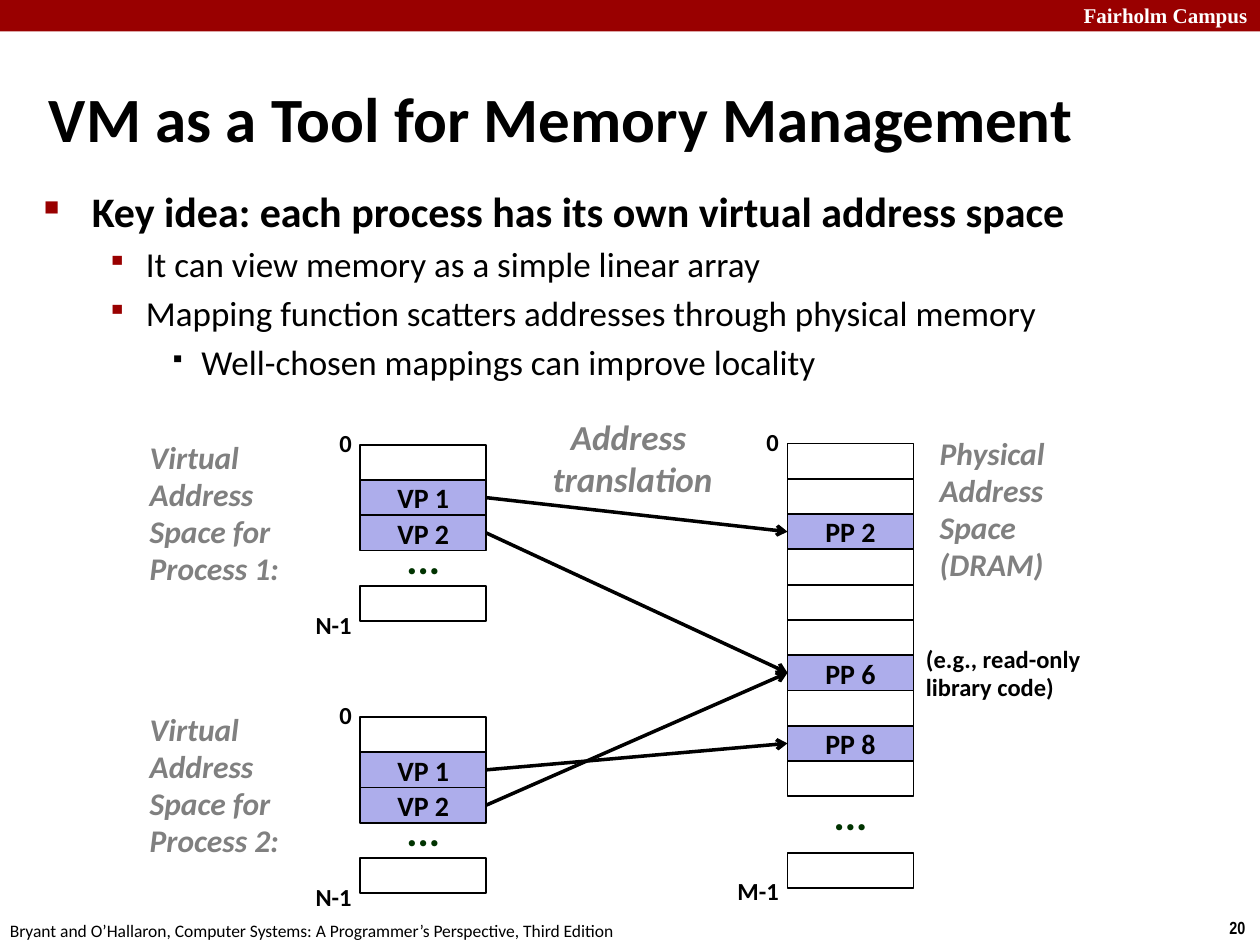
from lxml.etree import SubElement
from pptx import Presentation
from pptx.dml.color import RGBColor
from pptx.enum.shapes import MSO_CONNECTOR, MSO_SHAPE
from pptx.enum.text import MSO_ANCHOR, PP_ALIGN
from pptx.oxml.ns import qn
from pptx.util import Inches, Pt

BLACK, WHITE, GRAY = "000000", "FFFFFF", "808080"
RED, LILAC, GREEN = "990000", "ADADEB", "003300"
ROW, COLUMN = 0.28, 1.0  # height and width of one page


def color(hex_code):
    return RGBColor.from_string(hex_code)


def add_run(paragraph, text, size, ink=BLACK, bold=True, italic=False, font="Calibri"):
    run = paragraph.add_run()
    run.text = text
    run.font.size, run.font.name = Pt(size), font
    run.font.bold, run.font.italic = bold, italic
    run.font.color.rgb = color(ink)


def add_text(slide, box, lines, size, align=PP_ALIGN.LEFT, spacing=None,
             before=0, wrap=True, anchor=MSO_ANCHOR.TOP, **style):
    frame = slide.shapes.add_textbox(*map(Inches, box)).text_frame
    frame.word_wrap = wrap
    frame.vertical_anchor = anchor
    for i, line in enumerate(lines):
        paragraph = frame.paragraphs[0] if i == 0 else frame.add_paragraph()
        paragraph.alignment = align
        paragraph.line_spacing = spacing
        paragraph.space_before = Pt(before)
        add_run(paragraph, line, size, **style)
    return frame


def add_rect(slide, box, fill=None, line=None):
    rect = slide.shapes.add_shape(MSO_SHAPE.RECTANGLE, *map(Inches, box))
    rect.shadow.inherit = False
    if fill:
        rect.fill.solid()
        rect.fill.fore_color.rgb = color(fill)
    else:
        rect.fill.background()
    if line:
        rect.line.color.rgb = color(line)
        rect.line.width = Pt(1)
    else:
        rect.line.fill.background()
    return rect


def add_bullet(paragraph, mark, percent, ink, margin, hanging):
    props = paragraph._p.get_or_add_pPr()
    props.set("marL", str(Inches(margin)))
    props.set("indent", str(-Inches(hanging)))
    SubElement(SubElement(props, qn("a:buClr")), qn("a:srgbClr")).set("val", ink)
    SubElement(props, qn("a:buSzPct")).set("val", str(percent * 1000))
    SubElement(props, qn("a:buChar")).set("char", mark)


def add_arrow(slide, start, end):
    arrow = slide.shapes.add_connector(
        MSO_CONNECTOR.STRAIGHT, *map(Inches, (*start, *end)))
    arrow.line.color.rgb = color(BLACK)
    arrow.line.width = Pt(2)
    SubElement(arrow.line._get_or_add_ln(), qn("a:tailEnd")).set("type", "arrow")
    SubElement(arrow._element.spPr, qn("a:effectLst"))


def add_banner(slide, left, top, width, height):
    add_rect(slide, (left, top, width, height), RED)
    add_text(slide, (left + width - 2, top - 0.03, 2, 0.3), ["Fairholm Campus"],
             12, PP_ALIGN.RIGHT, ink=WHITE, font="Times New Roman")


def add_footer(slide, left, top, width, height):
    add_text(slide, (left - 0.02, top + 0.02, 5.08, height),
             ["Bryant and O’Hallaron, Computer Systems: A Programmer’s Perspective, "
              "Third Edition"], 10, wrap=False, bold=False)
    add_text(slide, (left + width - 0.34, top, 0.34, height), ["20"], 10,
             wrap=False, font="Arial Narrow")


def add_key_idea(slide, left, top, width, height):
    # text, size, bold, mark, mark percent, mark colour, margin, hanging
    sub_level = (20, False, "▪", 80, RED, 0.81, 0.31)
    points = [
        ("Key idea: each process has its own virtual address space",
         24, True, "■", 50, RED, 0.38, 0.38),
        ("It can view memory as a simple linear array", *sub_level),
        ("Mapping function scatters addresses through physical memory", *sub_level),
        ("Well-chosen mappings can improve locality",
         20, False, "▪", 60, BLACK, 1.25, 0.25),
    ]
    frame = add_text(slide, (left, top, width, height), [], 20)
    for i, (text, size, bold, *bullet) in enumerate(points):
        paragraph = frame.paragraphs[0] if i == 0 else frame.add_paragraph()
        paragraph.space_before = Pt(size * 0.2)
        add_bullet(paragraph, *bullet)
        add_run(paragraph, text, size, bold=bold)


def add_address_space(slide, left, top, rows, last_row, pages, last_label):
    """Stack the pages; return the vertical middle of each named one."""
    last_top = top + last_row * ROW
    for row in [*range(rows), last_row]:
        name = pages.get(row)
        page = add_rect(slide, (left, top + row * ROW, COLUMN, ROW),
                        LILAC if name else None, BLACK)
        if name:
            page.text_frame.vertical_anchor = MSO_ANCHOR.MIDDLE
            paragraph = page.text_frame.paragraphs[0]
            paragraph.alignment = PP_ALIGN.CENTER
            add_run(paragraph, name, 16)

    # Dots in the gap before the last page
    gap_middle = (top + rows * ROW + last_top) / 2
    add_text(slide, (left, gap_middle - 0.28, COLUMN, 0.45), ["..."], 24,
             PP_ALIGN.CENTER, spacing=0.88, before=9, ink=GREEN)

    # First and last address
    for label, label_top in (("0", top - 0.17), (last_label, last_top + 0.15)):
        add_text(slide, (left - 0.67, label_top, 0.7, 0.33), [label], 14,
                 PP_ALIGN.RIGHT, spacing=0.98)
    return {name: top + (row + 0.5) * ROW for row, name in pages.items()}


def add_mapping(slide, left, top, width, height):
    virtual_left, physical_left = left + 1.77, left + 5.16
    note = dict(size=18, spacing=0.98, ink=GRAY, italic=True)

    # Physical memory
    physical = add_address_space(slide, physical_left, top, 10, 11.6,
                                 {2: "PP 2", 6: "PP 6", 8: "PP 8"}, "M-1")
    notes_left = physical_left + COLUMN
    add_text(slide, (notes_left + 0.11, top - 0.11, 1.17, 1.29),
             ["Physical", "Address", "Space (DRAM)"], **note)
    add_text(slide, (notes_left, physical["PP 6"] - 0.27, 1.59, 0.56),
             ["(e.g., read-only", "library code)"], 14, spacing=0.98)

    # Virtual memory of each process, with its arrows
    targets = [{"VP 1": "PP 2", "VP 2": "PP 6"}, {"VP 1": "PP 8", "VP 2": "PP 6"}]
    for i, mapping in enumerate(targets):
        space_top = top + 0.01 + i * 2.16
        virtual = add_address_space(slide, virtual_left, space_top, 3, 4,
                                    {1: "VP 1", 2: "VP 2"}, "N-1")
        add_text(slide, (left, space_top - 0.09, 1.5, 1.28),
                 [f"Virtual Address Space for Process {i + 1}:"], **note)
        for source, target in mapping.items():
            add_arrow(slide, (virtual_left + COLUMN, virtual[source]),
                      (physical_left, physical[target]))

    add_text(slide, (left + 3.19, top - 0.27, 1.48, 0.77),
             ["Address ", "translation"], 20, PP_ALIGN.CENTER, wrap=False,
             ink=GRAY, italic=True)


def main():
    deck = Presentation()
    deck.slide_width, deck.slide_height = Inches(10), Inches(7.5)
    slide = deck.slides.add_slide(deck.slide_layouts[6])

    add_banner(slide, 0, 0, 10, 0.25)
    add_footer(slide, 0, 7.23, 10, 0.27)
    add_text(slide, (0.29, 0.62, 9.42, 0.63), ["VM as a Tool for Memory Management"],
             36, anchor=MSO_ANCHOR.MIDDLE)
    add_key_idea(slide, 0.25, 1.42, 8.59, 1.38)
    add_mapping(slide, 1.09, 3.52, 7.75, 3.56)
    deck.save("out.pptx")


if __name__ == "__main__":
    main()
